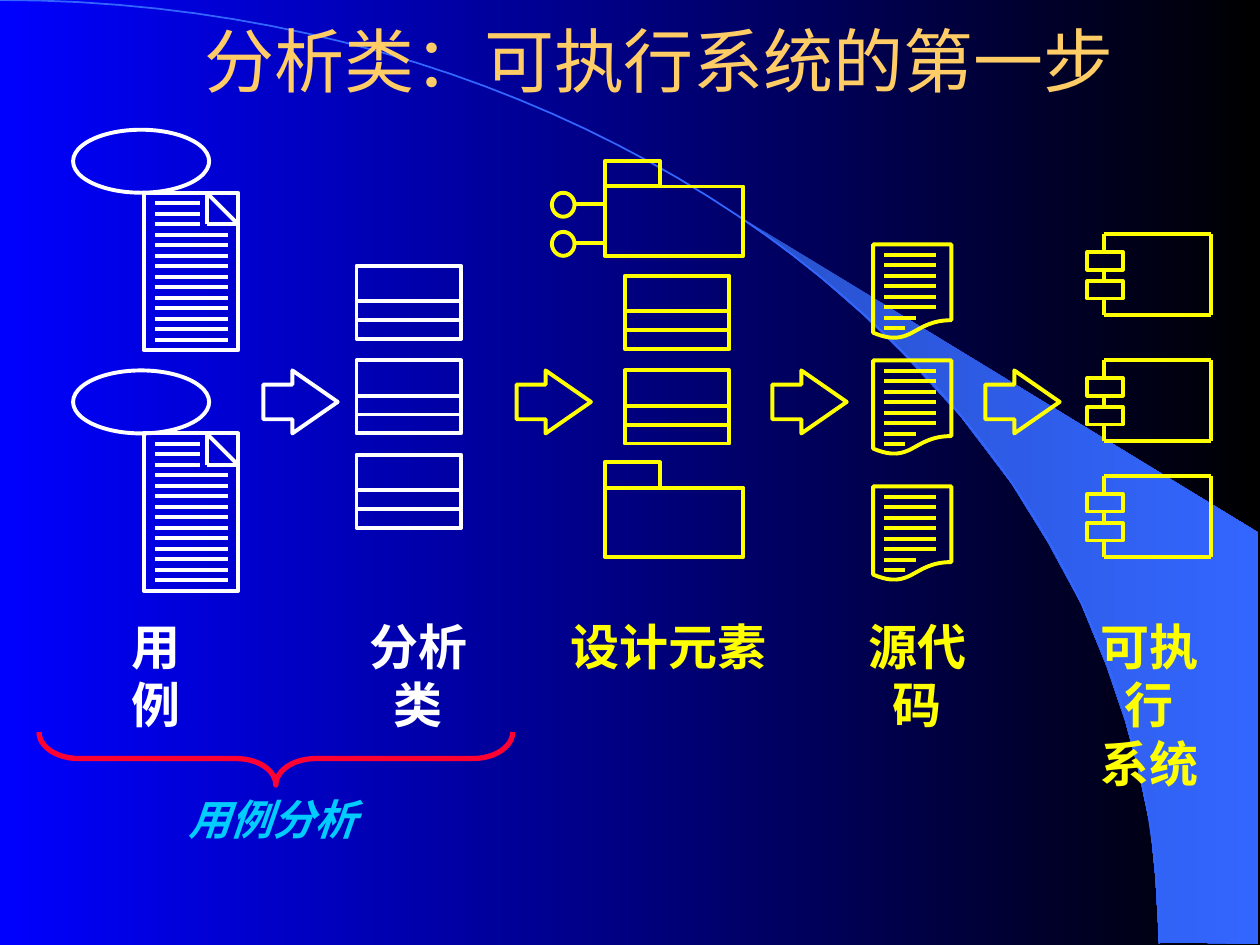
"""Build the slide on analysis classes as a first step towards an executable system."""
from lxml import etree
from pptx import Presentation
from pptx.dml.color import RGBColor
from pptx.enum.shapes import MSO_CONNECTOR, MSO_SHAPE
from pptx.enum.text import MSO_ANCHOR, PP_ALIGN
from pptx.oxml.ns import qn
from pptx.util import Inches, Pt

RECT, OVAL = MSO_SHAPE.RECTANGLE, MSO_SHAPE.OVAL
ARROW, BRACE = MSO_SHAPE.RIGHT_ARROW, MSO_SHAPE.LEFT_BRACE
DOCUMENT = MSO_SHAPE.FLOWCHART_DOCUMENT
STRAIGHT = MSO_CONNECTOR.STRAIGHT
CENTER, TOP, MIDDLE = PP_ALIGN.CENTER, MSO_ANCHOR.TOP, MSO_ANCHOR.MIDDLE

WHITE = RGBColor(0xFF, 0xFF, 0xFF)
YELLOW = RGBColor(0xFF, 0xFF, 0x00)
RED = RGBColor(0xFF, 0x00, 0x33)
CYAN = RGBColor(0x00, 0xCC, 0xFF)
GOLD = RGBColor(0xFF, 0xCC, 0x66)
BLUE = RGBColor(0x00, 0x00, 0xFF)
BLACK = RGBColor(0x00, 0x00, 0x00)
SWOOSH_DARK = RGBColor(0x28, 0x51, 0xCC)
SWOOSH = RGBColor(0x33, 0x66, 0xFF)

FONT = "Arial"
ROW_GAP = 1 / 12

TITLE = "分析类：可执行系统的第一步"
CAPTION = "用例分析"
LABELS = [
    ("用例", 0.75, 0.97, 0.57, WHITE),
    ("分析类", 2.64, 1.36, 0.57, WHITE),
    ("设计元素", 4.43, 1.75, 0.57, YELLOW),
    ("源代码", 6.6, 1.36, 0.57, YELLOW),
    ("可执行\n系统", 8.44, 1.36, 1.04, YELLOW),
]
ARROWS = [(2.09, WHITE), (4.1, YELLOW), (6.13, YELLOW), (7.82, YELLOW)]
USE_CASES = [1.03, 2.94]
CLASSES = [
    (2.83, 2.11, WHITE), (2.83, 2.86, WHITE), (2.83, 3.61, WHITE),
    (4.96, 2.19, YELLOW), (4.96, 2.94, YELLOW),
]
PACKAGES = [(1.28, [1.53, 1.84]), (3.67, [])]
SOURCES = [1.94, 2.86, 3.86]
COMPONENTS = [1.86, 2.86, 3.78]

SWOOSH_POINTS = [
    (9.2, 7.48), (9.99, 7.49), (9.99, 4.23), (5.89, 1.73), (6.24, 1.99),
    (6.53, 2.22), (6.85, 2.5), (7.16, 2.8), (7.62, 3.3), (8.03, 3.84),
    (8.32, 4.31), (8.58, 4.79), (8.78, 5.28), (8.93, 5.72), (9.03, 6.09),
    (9.13, 6.56), (9.17, 6.96),
]
ARC_CONTROLS = [(0, 0), (5.08, 0), (9.2, 3.35), (9.2, 7.49)]


def set_gradient(fill, first, last):
    fill.gradient()
    fill.gradient_angle = 0
    for stop, color, pos in zip(fill.gradient_stops, (first, last), (0, 1)):
        stop.color.rgb = color
        stop.position = pos


def set_line(sp, color, width=2.25):
    sp.line.color.rgb = color
    sp.line.width = Pt(width)


def add_outline(shapes, kind, x, y, w, h, color, width=2.25):
    sp = shapes.add_shape(kind, Inches(x), Inches(y), Inches(w), Inches(h))
    sp.shadow.inherit = False
    sp.fill.background()
    set_line(sp, color, width)
    return sp


def add_line(shapes, x1, y1, x2, y2, color):
    sp = shapes.add_connector(STRAIGHT, Inches(x1), Inches(y1), Inches(x2), Inches(y2))
    set_line(sp, color)
    etree.SubElement(sp._element.spPr, qn("a:effectLst"))


def add_path(shapes, points, close):
    pts = [(Inches(x), Inches(y)) for x, y in points]
    builder = shapes.build_freeform(*pts[0])
    builder.add_line_segments(pts[1:], close=close)
    sp = builder.convert_to_shape()
    sp.shadow.inherit = False
    return sp


def bezier(controls, steps=48):
    for i in range(steps + 1):
        t = i / steps
        weights = ((1 - t) ** 3, 3 * t * (1 - t) ** 2, 3 * t * t * (1 - t), t ** 3)
        yield tuple(sum(k * p[axis] for k, p in zip(weights, controls)) for axis in (0, 1))


def add_text(shapes, text, x, y, w, h, *, size, color, bold=False, italic=False,
             wrap=False, anchor=TOP):
    tf = shapes.add_textbox(Inches(x), Inches(y), Inches(w), Inches(h)).text_frame
    tf.word_wrap = wrap
    tf.vertical_anchor = anchor
    for i, line in enumerate(text.split("\n")):
        p = tf.add_paragraph() if i else tf.paragraphs[0]
        p.alignment = CENTER
        r = p.add_run()
        r.text = line
        r.font.name, r.font.size = FONT, Pt(size)
        r.font.bold, r.font.italic = bold, italic
        r.font.color.rgb = color


def add_use_case(shapes, y):
    top = y + 0.5
    add_outline(shapes, OVAL, 0.58, y, 1.08, 0.5, WHITE)
    add_outline(shapes, RECT, 1.14, top, 0.75, 1.25, WHITE)
    fold = [(1.64, top), (1.89, top + 0.25), (1.64, top + 0.25), (1.64, top)]
    for start, end in zip(fold, fold[1:]):
        add_line(shapes, *start, *end, WHITE)
    for i in range(1, 15):
        row = top + i * ROW_GAP
        add_line(shapes, 1.23, row, 1.59 if i <= 3 else 1.81, row, WHITE)


def add_class(shapes, x, y, color):
    add_outline(shapes, RECT, x, y, 0.83, 0.58, color)
    for dy in (0.28, 0.43):
        add_line(shapes, x, y + dy, x + 0.83, y + dy, color)


def add_package(shapes, y, interfaces):
    add_outline(shapes, RECT, 4.8, y + 0.2, 1.1, 0.55, YELLOW)
    add_outline(shapes, RECT, 4.8, y, 0.44, 0.2, YELLOW)
    for top in interfaces:
        add_outline(shapes, OVAL, 4.38, top, 0.18, 0.19, YELLOW)
        add_line(shapes, 4.56, top + 0.09, 4.8, top + 0.09, YELLOW)


def add_source(shapes, y):
    add_outline(shapes, DOCUMENT, 6.93, y, 0.62, 0.75, YELLOW)
    for i, end in enumerate([7.43] * 6 + [7.27, 7.18], 1):
        row = y + i * ROW_GAP
        add_line(shapes, 7.02, row, end, row, YELLOW)


def add_component(shapes, y):
    left, right = 8.76, 9.61
    add_line(shapes, right, y, right, y + 0.64, YELLOW)
    for dy in (0, 0.64):
        add_line(shapes, left, y + dy, right, y + dy, YELLOW)
    for start, end in ((0, 0.14), (0.27, 0.37), (0.5, 0.64)):
        add_line(shapes, left, y + start, left, y + end, YELLOW)
    for dy in (0.14, 0.37):
        add_outline(shapes, RECT, 8.63, y + dy, 0.28, 0.14, YELLOW)


def main():
    prs = Presentation()
    prs.slide_width, prs.slide_height = Inches(10), Inches(7.5)
    s = prs.slides.add_slide(prs.slide_layouts[6])
    set_gradient(s.background.fill, BLUE, BLACK)

    swoosh = add_path(s.shapes, SWOOSH_POINTS, True)
    set_gradient(swoosh.fill, SWOOSH_DARK, SWOOSH)
    swoosh.line.fill.background()
    arc = add_path(s.shapes, list(bezier(ARC_CONTROLS)), False)
    arc.fill.background()
    set_line(arc, SWOOSH, 1)

    icons = [(add_use_case, (y,)) for y in USE_CASES]
    icons += [(add_class, item) for item in CLASSES]
    icons += [(add_package, item) for item in PACKAGES]
    icons += [(add_source, (y,)) for y in SOURCES]
    icons += [(add_component, (y,)) for y in COMPONENTS]
    for draw, args in icons:
        draw(s.shapes.add_group_shape().shapes, *args)

    for x, color in ARROWS:
        sp = add_outline(s.shapes, ARROW, x, 2.94, 0.59, 0.5, color)
        sp.adjustments[0], sp.adjustments[1] = 0.55, 0.72
    brace = add_outline(s.shapes, BRACE, 1.98, 4.14, 0.42, 3.76, RED, 3)
    brace.rotation = 270
    brace.adjustments[0] = 0.75

    for text, x, w, h, color in LABELS:
        add_text(s.shapes, text, x, 4.84, w, h, size=28, color=color, bold=True)
    add_text(s.shapes, CAPTION, 0.54, 6.25, 3.25, 0.52, size=24, color=CYAN,
             bold=True, italic=True, wrap=True)
    add_text(s.shapes, TITLE, 0.98, 0.21, 8.5, 0.52, size=40, color=GOLD,
             wrap=True, anchor=MIDDLE)
    prs.save("out.pptx")


if __name__ == "__main__":
    main()
